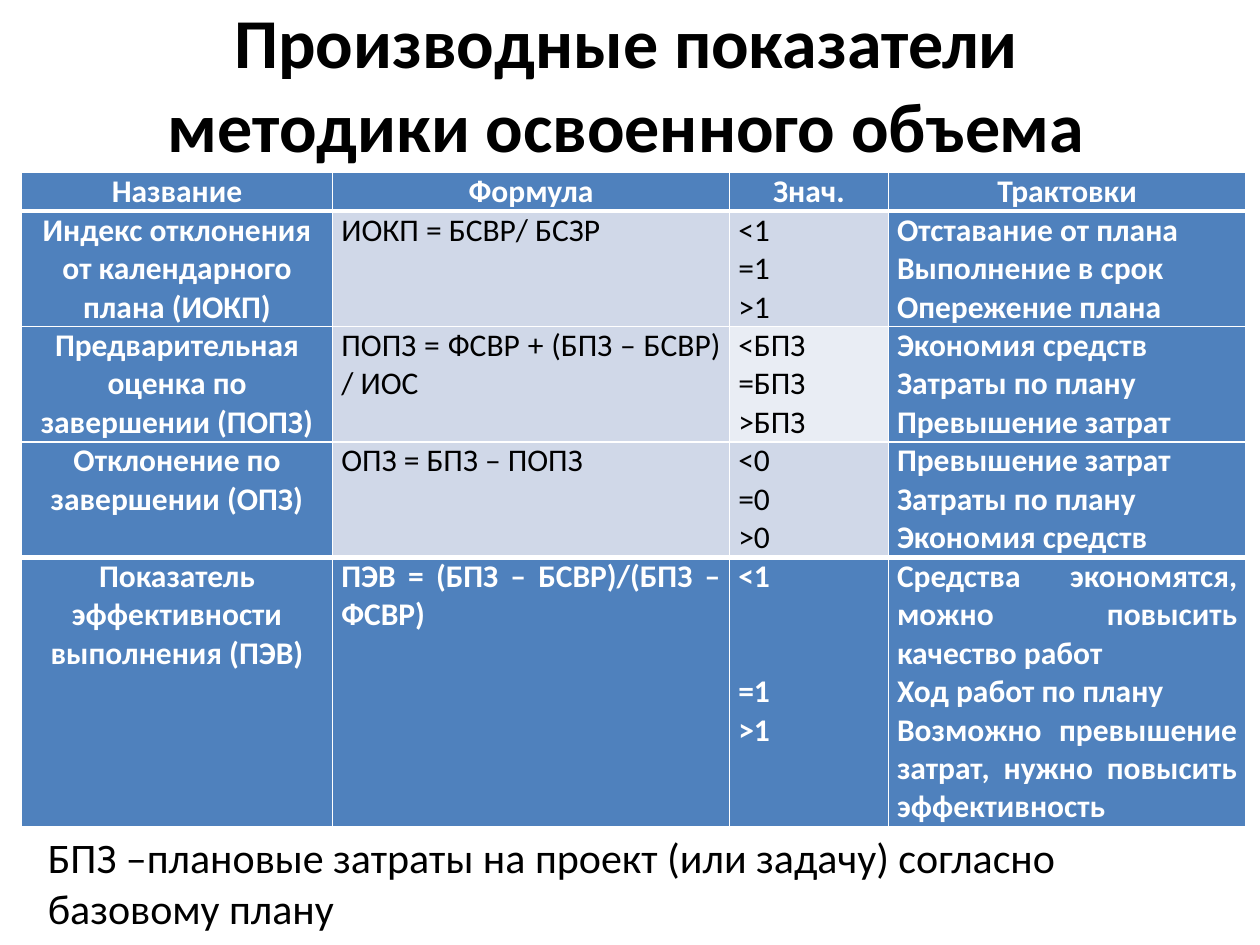
from lxml import etree
from pptx import Presentation
from pptx.dml.color import RGBColor
from pptx.enum.text import MSO_ANCHOR, MSO_AUTO_SIZE, PP_ALIGN
from pptx.oxml.ns import qn
from pptx.util import Inches, Pt

COLORS = {"header": "4F81BD", "band": "D0D8E8", "light": "E9EDF4",
          "white": "FFFFFF", "black": "000000"}
COLUMNS = [24.7, 31.5, 12.6, 28.4]
ROWS = [3, 9, 9, 9, 21]
LINE = 22

HEADINGS = ["Название", "Формула", "Знач.", "Трактовки"]
INDICATORS = [
    ("Индекс отклонения от календарного плана (ИОКП)", "ИОКП = БСВР/ БСЗР",
     ["<1", "=1", ">1"],
     ["Отставание от плана", "Выполнение в срок", "Опережение плана"]),
    ("Предварительная оценка по завершении (ПОПЗ)",
     "ПОПЗ = ФСВР + (БПЗ – БСВР) / ИОС",
     ["<БПЗ", "=БПЗ", ">БПЗ"],
     ["Экономия средств", "Затраты по плану", "Превышение затрат"]),
    ("Отклонение по завершении (ОПЗ)", "ОПЗ = БПЗ – ПОПЗ",
     ["<0", "=0", ">0"],
     ["Превышение затрат", "Затраты по плану", "Экономия средств"]),
    ("Показатель эффективности выполнения (ПЭВ)",
     "ПЭВ = (БПЗ – БСВР)/(БПЗ – ФСВР)",
     ["<1", "=1", ">1"],
     ["Средства экономятся, можно повысить качество работ",
      "Ход работ по плану",
      "Возможно превышение затрат, нужно повысить эффективность"]),
]


class Deck:
    font = "Calibri"
    unit = Inches(0.1)

    def __init__(self):
        self.prs = Presentation()
        self.prs.slide_width = self.grid(100)
        self.prs.slide_height = self.grid(75)
        self.slide = self.prs.slides.add_slide(self.prs.slide_layouts[1])

    def grid(self, cells):
        return round(cells * self.unit)

    def set_text(self, frame, lines, size, color, bold, align):
        frame.text = "\n".join(lines)
        for paragraph in frame.paragraphs:
            paragraph.alignment = align
            paragraph.space_before = Pt(0)
            font = paragraph.runs[0].font
            font.name, font.size, font.bold = self.font, Pt(size), bold
            font.color.rgb = RGBColor.from_string(COLORS[color])

    def placeholder(self, index, box, text, size, bold, align, anchor):
        shape = self.slide.placeholders[index]
        shape.left, shape.top, shape.width, shape.height = map(self.grid, box)
        frame = shape.text_frame
        frame.word_wrap = True
        frame.auto_size = MSO_AUTO_SIZE.NONE
        frame.vertical_anchor = anchor
        self.set_text(frame, [text], size, "black", bold, align)
        return frame

    def title(self, box, text):
        self.placeholder(0, box, text, 40, True, PP_ALIGN.CENTER, MSO_ANCHOR.MIDDLE)

    def note(self, box, text):
        frame = self.placeholder(1, box, text, 24, False, PP_ALIGN.LEFT, MSO_ANCHOR.TOP)
        props = frame.paragraphs[0]._p.get_or_add_pPr()
        props.set("marL", "0")
        props.set("indent", "0")
        etree.SubElement(props, qn("a:buNone"))

    def table(self, left, top, columns, rows):
        frame = self.slide.shapes.add_table(
            len(rows), len(columns), self.grid(left), self.grid(top),
            self.grid(sum(columns)), self.grid(sum(rows)))
        table = frame.table
        table.first_row = table.horz_banding = False
        for column, width in zip(table.columns, columns):
            column.width = self.grid(width)
        for row, height in zip(table.rows, rows):
            row.height = self.grid(height)
        return table

    def cell(self, cell, lines, fill, align, top=1, bottom=1):
        strong = fill == "header"
        cell.margin_left = cell.margin_right = Inches(0.07)
        cell.margin_top = cell.margin_bottom = 0
        self.set_text(cell.text_frame, lines, 18, "white" if strong else "black",
                      strong, align)
        cell.fill.solid()
        cell.fill.fore_color.rgb = RGBColor.from_string(COLORS[fill])
        props = cell._tc.get_or_add_tcPr()
        for place, (side, width) in enumerate(
                [("L", 1), ("R", 1), ("T", top), ("B", bottom)]):
            line = etree.Element(qn(f"a:ln{side}"), w=str(Pt(width)))
            solid = etree.SubElement(line, qn("a:solidFill"))
            etree.SubElement(solid, qn("a:srgbClr"), val=COLORS["white"])
            props.insert(place, line)


deck = Deck()
deck.title((5.3, -0.7, 88.8, 14.5), "Производные показатели методики освоенного объема")
table = deck.table(1.7, 13.7, COLUMNS, ROWS)
for c, heading in enumerate(HEADINGS):
    deck.cell(table.cell(0, c), [heading], "header", PP_ALIGN.CENTER, bottom=3)

last = len(INDICATORS)
for r, (name, formula, values, meanings) in enumerate(INDICATORS, 1):
    body = "header" if r == last else "band"
    value_fill = "light" if r == 2 else body
    fills = ["header", body, value_fill, "header"]
    top = 3 if r in (1, last) else 1
    bottom = 3 if r == last - 1 else 1
    for c, lines in enumerate([[name], [formula], values, meanings]):
        align = PP_ALIGN.JUSTIFY if c else PP_ALIGN.CENTER
        deck.cell(table.cell(r, c), lines, fills[c], align, top, bottom)

table.cell(last, 2).text_frame.paragraphs[1].space_before = Pt(2 * LINE)
deck.note((2.8, 65.5, 95.3, 9.1),
          "БПЗ –плановые затраты на проект (или задачу) согласно базовому плану")
deck.prs.save("out.pptx")
